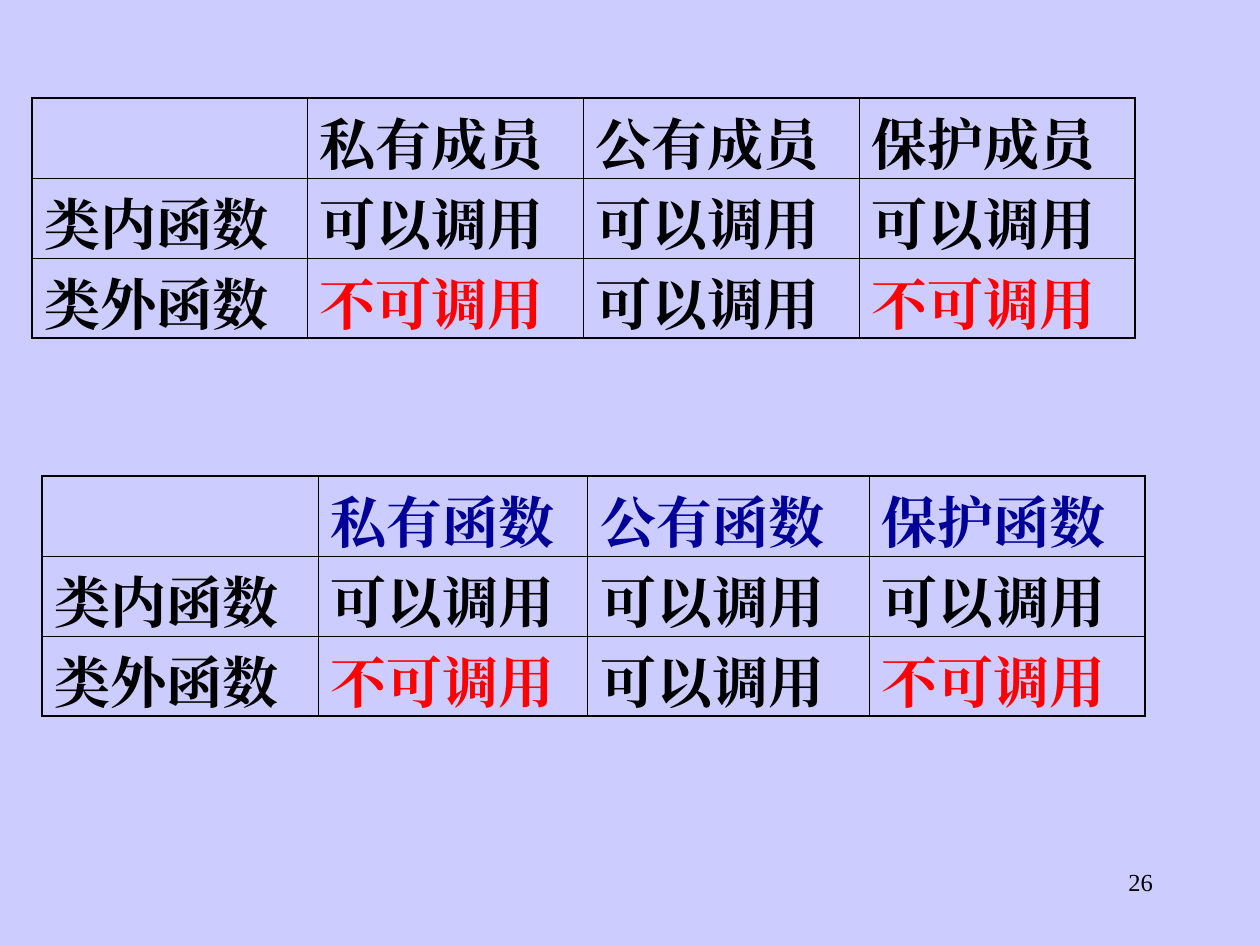
from lxml import etree
from pptx import Presentation
from pptx.dml.color import RGBColor
from pptx.enum import text
from pptx.oxml import ns
from pptx.util import Cm, Pt

FONT = "Times New Roman"
BLACK, RED, NAVY, LAVENDER = "000000", "FF0000", "000099", "CCCCFF"
THIN, THICK = 0.45, 1.08
ROW_HEIGHT = 1.61
CAN, CANNOT = "可以调用", "不可调用"
ACCESS_ROWS = [
    ["类内函数", CAN, CAN, CAN],
    ["类外函数", CANNOT, CAN, CANNOT],
]


def paint(target, color):
    target.rgb = RGBColor.from_string(color)


def write(frame, words, size, color=BLACK, bold=False, align=text.PP_ALIGN.LEFT):
    para = frame.paragraphs[0]
    para.alignment = align
    span = para.add_run()
    span.text = words
    span.font.name = FONT
    span.font.size = Pt(size)
    span.font.bold = bold
    paint(span.font.color, color)
    east_asian = etree.SubElement(span.font._element, ns.qn("a:ea"))
    east_asian.set("typeface", FONT)


def draw_borders(cell, widths):
    properties = cell._tc.get_or_add_tcPr()
    for place, (side, width) in enumerate(widths.items()):
        line = etree.Element(ns.qn(f"a:ln{side}"), w=str(int(Pt(width))))
        fill = etree.SubElement(line, ns.qn("a:solidFill"))
        etree.SubElement(fill, ns.qn("a:srgbClr"), val=BLACK)
        properties.insert(place, line)


def add_access_table(page, left, top, column_widths, headings, heading_color):
    rows = [["", *headings], *ACCESS_ROWS]
    last_row, last_column = len(rows) - 1, len(column_widths) - 1
    table = page.shapes.add_table(
        len(rows), len(column_widths), Cm(left), Cm(top),
        Cm(sum(column_widths)), Cm(ROW_HEIGHT * len(rows)),
    ).table
    table.first_row = table.horz_banding = False
    for column, width in zip(table.columns, column_widths):
        column.width = Cm(width)
    for r, row in enumerate(rows):
        table.rows[r].height = Cm(ROW_HEIGHT)
        for c, words in enumerate(row):
            cell = table.cell(r, c)
            cell.fill.background()
            cell.margin_left = cell.margin_right = Cm(0.25)
            cell.margin_top, cell.margin_bottom = Cm(0.13), Cm(0)
            cell.vertical_anchor = text.MSO_ANCHOR.BOTTOM
            draw_borders(cell, {
                "L": THICK if c == 0 else THIN,
                "R": THICK if c == last_column else THIN,
                "T": THICK if r == 0 else THIN,
                "B": THICK if r == last_row else THIN,
            })
            if words:
                color = heading_color if r == 0 else RED if words == CANNOT else BLACK
                write(cell.text_frame, words, 32, color=color, bold=True)


def add_page_number(page, left, top, width, height, number):
    box = page.shapes.add_textbox(Cm(left), Cm(top), Cm(width), Cm(height))
    box.text_frame.word_wrap = True
    write(box.text_frame, number, 14, align=text.PP_ALIGN.RIGHT)


def main():
    deck = Presentation()
    deck.slide_width, deck.slide_height = Cm(25.4), Cm(19.05)
    page = deck.slides.add_slide(deck.slide_layouts[6])
    page.background.fill.solid()
    paint(page.background.fill.fore_color, LAVENDER)
    add_page_number(page, 18.2, 17.35, 5.29, 1.27, "26")
    add_access_table(page, 0.64, 1.98, [5.56] * 4,
                     ["私有成员", "公有成员", "保护成员"], BLACK)
    add_access_table(page, 0.85, 9.6, [5.56, 5.44, 5.68, 5.56],
                     ["私有函数", "公有函数", "保护函数"], NAVY)
    deck.save("out.pptx")


if __name__ == "__main__":
    main()
